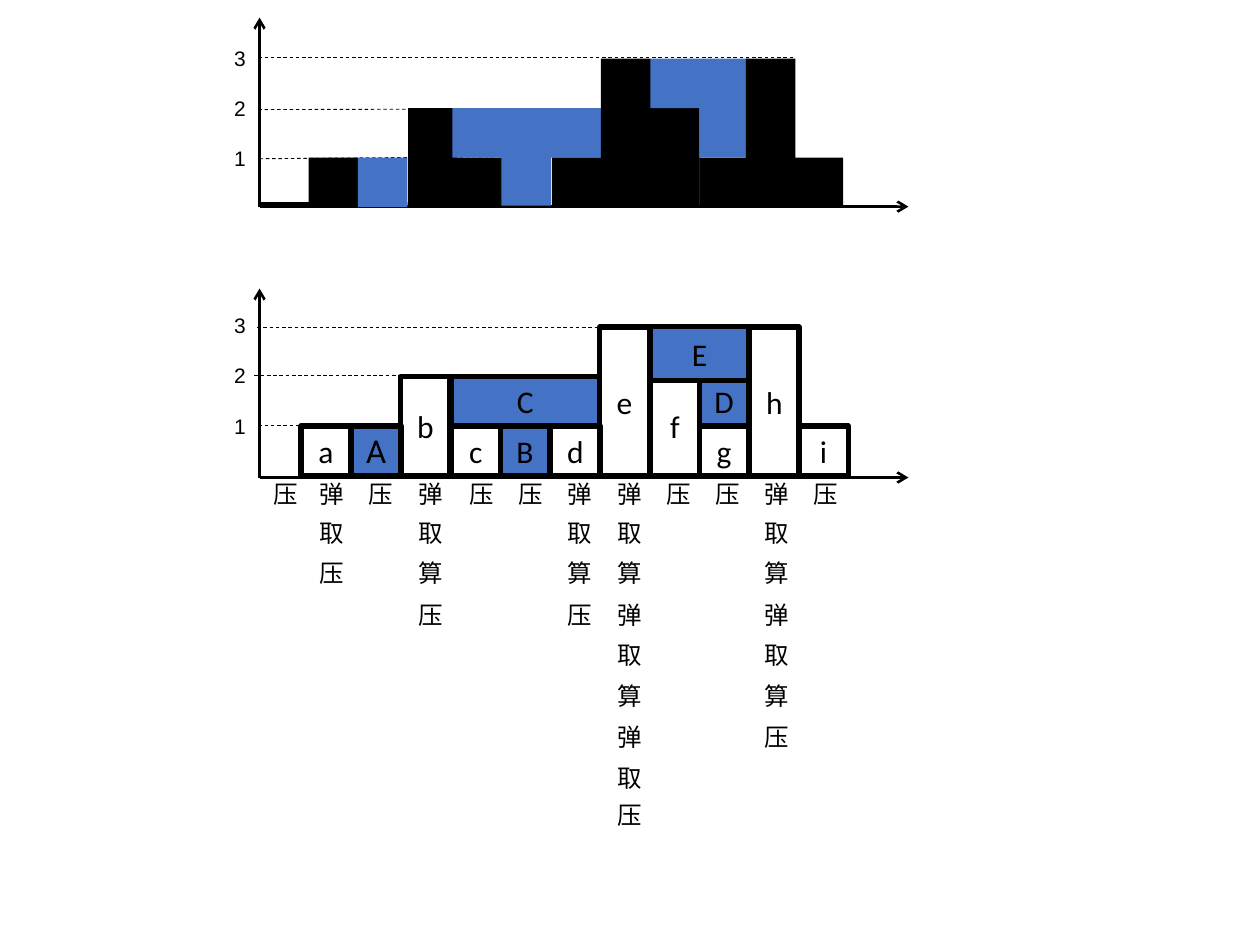
from lxml.etree import SubElement
from pptx import Presentation
from pptx.dml.color import RGBColor
from pptx.enum.dml import MSO_LINE
from pptx.enum.shapes import MSO_CONNECTOR, MSO_SHAPE
from pptx.enum.text import MSO_ANCHOR, MSO_AUTO_SIZE, PP_ALIGN
from pptx.oxml.ns import qn
from pptx.util import Inches, Pt

COLORS = {"ink": "000000", "water": "4472C4"}
AXIS_LEFT = 2.06
LEVEL = 0.393

# Bars: column, base level, columns wide, levels high, fill, label
TERRAIN_LEFTS = [2.06, 2.45, 2.84, 3.24, 3.59, 3.98, 4.38, 4.77, 5.16, 5.55, 5.92, 6.3]
TERRAIN = [
    (3, 0, 1, 2, "ink", ""), (1, 0, 1, 1, "ink", ""),
    (0, 0, 1, 0.1, "ink", ""), (2, 0, 1, 0.1, "ink", ""),
    (4, 0, 1, 1, "ink", ""), (5, 0, 1, 0.1, "ink", ""),
    (8, 0, 1, 2, "ink", ""), (9, 0, 1, 1, "ink", ""), (11, 0, 1, 1, "ink", ""),
    (2, 0, 1, 1, "water", ""), (5, 0.03, 1, 1.02, "water", ""),
    (4, 2, 3, -1, "water", ""), (9, 1, 1, 1, "water", ""),
    (8, 2, 2, 1, "water", ""), (10, 0, 1, 3, "ink", ""),
    (7, 0, 1, 3, "ink", ""), (6, 0, 1, 1, "ink", ""),
]
TERRAIN = [(column, base + min(high, 0), wide, abs(high), fill, label)
           for column, base, wide, high, fill, label in TERRAIN]
LABELLED_LEFTS = [round(2.39 + 0.395 * column, 2) for column in range(11)]
LABELLED = [
    (2, 0, 1, 2, None, "b"), (0, 0, 1, 1, None, "a"), (3, 0, 1, 1, None, "c"),
    (7, 0, 1, 2, None, "f"), (8, 0, 1, 1, None, "g"), (10, 0, 1, 1, None, "i"),
    (1, 0, 1, 1, "water", "A"), (4, 0, 1, 1, "water", "B"),
    (3, 1, 3, 1, "water", "C"), (8, 1, 1, 1, "water", "D"),
    (7, 1.92, 2, 1.09, "water", "E"), (9, 0, 1, 3, None, "h"),
    (6, 0, 1, 3, None, "e"), (5, 0, 1, 1, None, "d"),
]
STEP_LEFTS = [2.07, 2.44, 2.83, 3.22, 3.63, 4.02, 4.41, 4.8, 5.19, 5.58, 5.97, 6.36]
STEP_TOPS = [3.75, 4.06, 4.38, 4.71, 5.03, 5.36, 5.68, 6.01, 6.3]
STEPS = ["压", "弹取压", "压", "弹取算压", "压", "压", "弹取算压",
         "弹取算弹取算弹取压", "压", "压", "弹取算弹取算压", "压"]


def color(name):
    """Look up a colour by name."""
    return RGBColor.from_string(COLORS[name])


def write(box, text, size, font):
    """Put one line of black text in a box."""
    paragraph = box.text_frame.paragraphs[0]
    paragraph.text = text
    for span in paragraph.runs:
        span.font.size = Pt(size)
        span.font.name = font
        span.font.color.rgb = color("ink")
    return paragraph


def add_label(group, left, top, width, height, text, size, font):
    """Add a text box that fits its text."""
    box = group.shapes.add_textbox(Inches(left), Inches(top), Inches(width), Inches(height))
    box.text_frame.word_wrap = False
    box.text_frame.auto_size = MSO_AUTO_SIZE.SHAPE_TO_FIT_TEXT
    write(box, text, size, font)


def add_line(group, start, end, dashed=False):
    """Add a dashed guide or an axis with an arrowhead."""
    line = group.shapes.add_connector(
        MSO_CONNECTOR.STRAIGHT, *(Inches(value) for value in start + end))
    line.line.color.rgb = color("ink")
    line.line.width = Pt(0.5 if dashed else 1.5)
    if dashed:
        line.line.dash_style = MSO_LINE.DASH
    else:
        SubElement(line.line._get_or_add_ln(), qn("a:tailEnd"), type="arrow")
    SubElement(line._element.spPr, qn("a:effectLst"))


def add_bar(group, left, top, width, height, fill, label):
    """Add a bar, outlined when it carries a label."""
    bar = group.shapes.add_shape(
        MSO_SHAPE.RECTANGLE, Inches(left), Inches(top), Inches(width), Inches(height))
    bar.shadow.inherit = False
    if fill:
        bar.fill.solid()
        bar.fill.fore_color.rgb = color(fill)
    else:
        bar.fill.background()
    if not label:
        bar.line.fill.background()
        return
    bar.line.color.rgb = color("ink")
    bar.line.width = Pt(3)
    bar.text_frame.vertical_anchor = MSO_ANCHOR.MIDDLE
    font = "Roboto" if label == "A" else "Calibri"
    write(bar, label, 18, font).alignment = PP_ALIGN.CENTER


def add_diagram(group, axis_top, axis_y, floor, lefts, bars, guides, label_top):
    """Draw axes, guides, bars and level labels of one elevation diagram."""
    add_line(group, (AXIS_LEFT, axis_y), (7.21, axis_y))
    add_line(group, (AXIS_LEFT, axis_y), (AXIS_LEFT, axis_top))
    for start, end in guides:
        add_line(group, start, end, dashed=True)
    for column, base, wide, high, fill, label in bars:
        top = floor - (base + high) * LEVEL
        add_bar(group, lefts[column], top, wide * LEVEL, high * LEVEL, fill, label)
    for row, text in enumerate("321"):
        add_label(group, 1.76, label_top + 0.4 * row, 0.29, 0.3, text, 12, "Arial")


def add_steps(group):
    """List the stack operations under each column."""
    for left, steps in zip(STEP_LEFTS, STEPS):
        for top, step in zip(STEP_TOPS, steps):
            add_label(group, left, top, 0.4, 0.34, step, 14, "Calibri")


deck = Presentation()
deck.slide_width, deck.slide_height = Inches(10), Inches(7.5)
page = deck.slides.add_slide(deck.slide_layouts[6])

terrain_guides = [((2.06, 1.26), (4.5, 1.24)), ((2.05, 0.87), (6.11, 0.86)),
                  ((2.05, 0.46), (6.3, 0.46))]
add_diagram(page.shapes.add_group_shape(), 0.14, 1.64, 1.645, TERRAIN_LEFTS, TERRAIN,
            terrain_guides, 0.31)

labelled_guides = [((2.05, 3.38), (3.11, 3.38)), ((2.02, 2.98), (4.5, 2.98)),
                   ((2.04, 2.6), (6.29, 2.6))]
labelled = page.shapes.add_group_shape()
add_diagram(labelled, 2.29, 3.79, 3.775, LABELLED_LEFTS, LABELLED, labelled_guides, 2.43)
add_steps(labelled)

deck.save("out.pptx")
